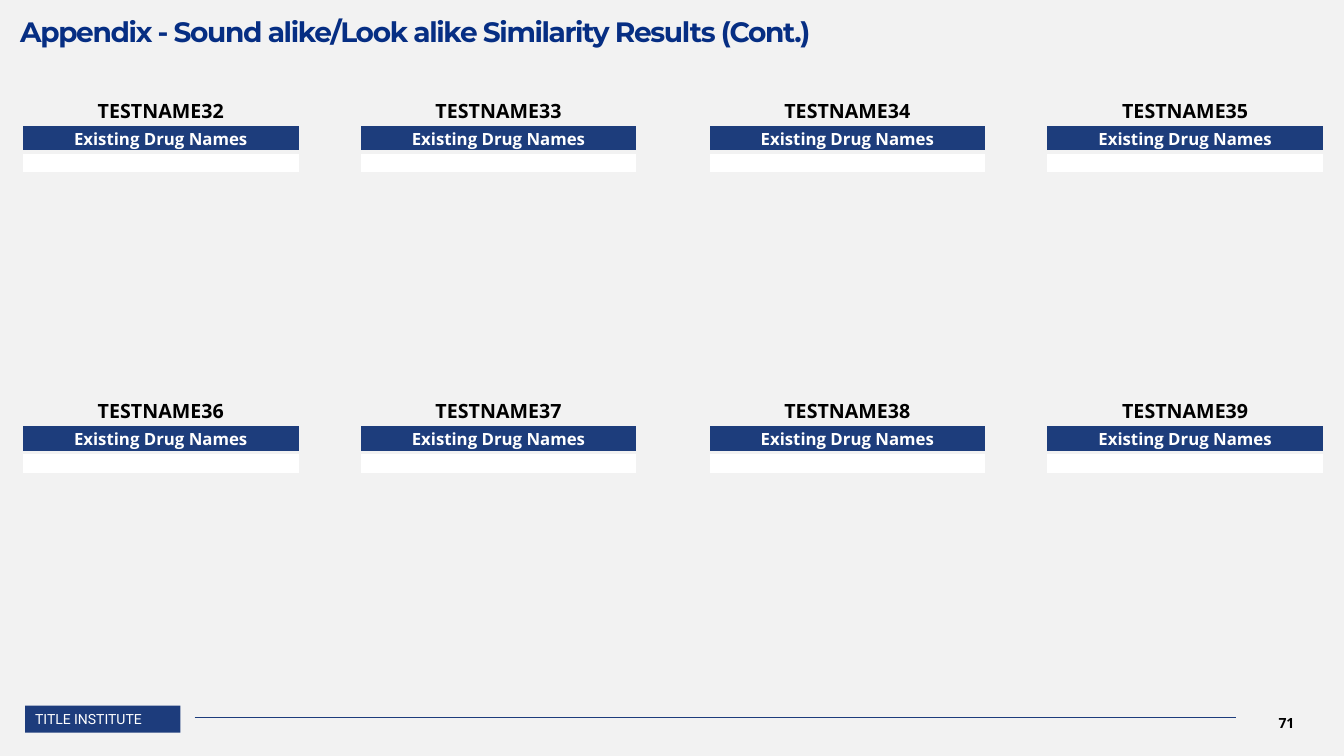
from lxml.etree import SubElement
from pptx import Presentation
from pptx.dml.color import RGBColor
from pptx.enum.shapes import MSO_CONNECTOR as CONNECTOR, MSO_SHAPE as SHAPE
from pptx.enum.text import MSO_ANCHOR as ANCHOR, MSO_AUTO_SIZE as AUTO, PP_ALIGN as ALIGN
from pptx.oxml.ns import qn
from pptx.util import Inches, Pt

GREY = RGBColor(0xF2, 0xF2, 0xF2)
WHITE = RGBColor(0xFF, 0xFF, 0xFF)
BLACK = RGBColor(0x00, 0x00, 0x00)
TITLE_BLUE = RGBColor(0x06, 0x2E, 0x83)
FOOTER_BLUE = RGBColor(0x1D, 0x3C, 0x7C)
HEADER_BLUE = RGBColor(0x1D, 0x3D, 0x7C)


def style_text(frame, text, font, size, color, bold=False, align=ALIGN.LEFT):
    paragraph = frame.paragraphs[0]
    paragraph.text = text
    paragraph.alignment = align
    run = paragraph.runs[0]
    run.font.name, run.font.size, run.font.bold = font, Pt(size), bold
    run.font.color.rgb = color
    return run


def add_borders(cell):
    properties = cell._tc.get_or_add_tcPr()
    for side in ("lnL", "lnR", "lnT", "lnB"):
        border = SubElement(properties, qn("a:" + side), w=str(Pt(3)))
        fill = SubElement(border, qn("a:solidFill"))
        SubElement(fill, qn("a:srgbClr"), val=str(GREY))


prs = Presentation()
prs.slide_width, prs.slide_height = Inches(13.33), Inches(7.5)
slide = prs.slides.add_slide(prs.slide_layouts[5])
slide.background.fill.solid()
slide.background.fill.fore_color.rgb = GREY
shapes = slide.shapes

# Title
title = shapes.title
title.left, title.top = Inches(0.2), Inches(0)
title.width, title.height = Inches(12.82), Inches(0.48)
frame = title.text_frame
frame.margin_left = frame.margin_right = frame.margin_bottom = 0
frame.margin_top = Inches(0.21)
frame.vertical_anchor = ANCHOR.TOP
frame.word_wrap = True
frame.auto_size = AUTO.SHAPE_TO_FIT_TEXT
title_run = style_text(frame, "Appendix - Sound alike/Look alike Similarity Results (Cont.)",
                       "Montserrat", 20, TITLE_BLUE, bold=True)
title_run.font._element.set("spc", "-100")
frame.paragraphs[0].line_spacing = 0.8

# Footer: institute label, rule and page number
label = shapes.add_shape(SHAPE.RECTANGLE, Inches(0.25), Inches(7), Inches(1.54), Inches(0.27))
label.shadow.inherit = False
label.fill.solid()
label.fill.fore_color.rgb = FOOTER_BLUE
label.line.fill.background()
label.text_frame.word_wrap = False
label.text_frame.auto_size = AUTO.SHAPE_TO_FIT_TEXT
style_text(label.text_frame, "TITLE INSTITUTE", "Roboto", 10, WHITE)

rule = shapes.add_connector(CONNECTOR.STRAIGHT, Inches(1.93), Inches(7.12),
                            Inches(12.26), Inches(7.12))
rule.line.color.rgb = FOOTER_BLUE
rule.line.width = Pt(0.5)
SubElement(rule._element.spPr, qn("a:effectLst"))

page = shapes.add_textbox(Inches(12.21), Inches(6.97), Inches(1.1), Inches(0.4))
page.text_frame.word_wrap = True
page.text_frame.vertical_anchor = ANCHOR.MIDDLE
style_text(page.text_frame, "71", "Open Sans", 10, BLACK, bold=True, align=ALIGN.CENTER)

# One table per test name, four to a row
number = 32
for top in (0.95, 3.93):
    for left in (0.21, 3.56, 7.02, 10.37):
        table = shapes.add_table(3, 1, Inches(left), Inches(top),
                                 Inches(2.77), Inches(0.78)).table
        table.first_row = table.horz_banding = False
        rows = ((f"TESTNAME{number}", 0.28, 14, BLACK, None),
                ("Existing Drug Names", 0.28, 12, WHITE, HEADER_BLUE),
                ("", 0.22, 10, BLACK, WHITE))
        for index, (text, height, size, color, fill) in enumerate(rows):
            table.rows[index].height = Inches(height)
            cell = table.cell(index, 0)
            cell.margin_left = cell.margin_right = cell.margin_top = Inches(0.01)
            cell.margin_bottom = 0
            cell.vertical_anchor = ANCHOR.MIDDLE
            add_borders(cell)
            if fill is None:
                cell.fill.background()
            else:
                cell.fill.solid()
                cell.fill.fore_color.rgb = fill
            if text:
                style_text(cell.text_frame, text, "Open Sans", size, color,
                           bold=True, align=ALIGN.CENTER)
            else:
                # A small text size keeps the empty row low
                end = SubElement(cell.text_frame.paragraphs[0]._p,
                                 qn("a:endParaRPr"), sz=str(size * 100))
                SubElement(end, qn("a:latin"), typeface="Open Sans")
        number += 1

prs.save("out.pptx")
